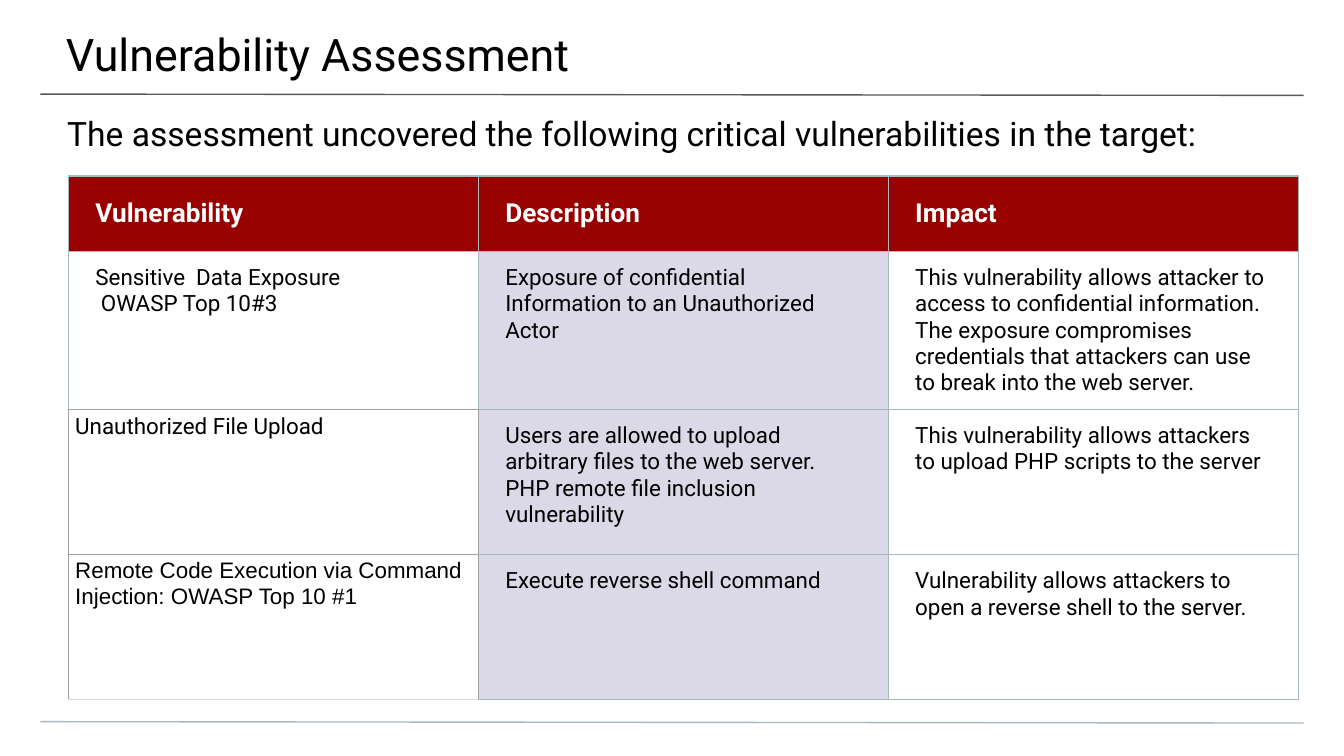
from pptx import Presentation
from pptx.dml.color import RGBColor
from pptx.enum import shapes, text
from pptx.oxml import parse_xml
from pptx.oxml.ns import nsdecls
from pptx.util import Inches, Pt

THEME = {
    "font": "Roboto", "alt_font": "Arial",
    "title": 24, "lead": 18, "head": 14, "body": 12, "line": 0.75,
    "ink": "000000", "paper": "FFFFFF", "header": "990000", "accent": "DBD9E8",
    "rule": "595959", "border": "A9B7C0", "grey": "9E9E9E", "sand": "E0DBD2",
}
SIDES = ("left", "top", "right", "bottom")
W = 10
H = W * 9 / 16


def format_text(box, lines, insets, **font):
    """Fill a text frame or table cell, with its insets and font."""
    for side, inset in zip(SIDES, insets):
        setattr(box, f"margin_{side}", Inches(inset))
    tf = getattr(box, "text_frame", box)
    tf.text = "\n".join(lines)
    color = font.pop("color", THEME["ink"])
    for p in tf.paragraphs:
        p.alignment, p.space_before = text.PP_ALIGN.LEFT, Pt(0)
        for r in p.runs:
            for name, value in {"name": THEME["font"], "bold": False, **font}.items():
                setattr(r.font, name, value)
            r.font.color.rgb = RGBColor.from_string(color)


def set_borders(cell, colors):
    """Colour the left, right, top and bottom edges of a cell."""
    tcPr = cell._tc.get_or_add_tcPr()
    for i, (side, color) in enumerate(zip("LRTB", colors)):
        tcPr.insert(i, parse_xml(
            f'<a:ln{side} {nsdecls("a")} w="{Pt(THEME["line"])}"><a:solidFill>'
            f'<a:srgbClr val="{color}"/></a:solidFill></a:ln{side}>'))


prs = Presentation()
prs.slide_width, prs.slide_height = Inches(W), Inches(H)
s = prs.slides.add_slide(prs.slide_layouts[0])

# Rules across the top and bottom
for y, color in ((0.7, "rule"), (5.37, "border")):
    ends = [Inches(n) for n in (0.03 * W, y, 0.97 * W, y + 0.01)]
    line = s.shapes.add_connector(shapes.MSO_CONNECTOR.STRAIGHT, *ends)
    line.line.width = Pt(THEME["line"])
    line.line.color.rgb = RGBColor.from_string(THEME[color])
    line._element.spPr.append(parse_xml(f'<a:effectLst {nsdecls("a")}/>'))

# Title and lead sentence
for sp, words, box, insets, size in (
    (s.shapes.title, "Vulnerability Assessment",
     (-0.01, 0, 10.03, 0.58), (0.5, 0.2, 0.3, 0.1), "title"),
    (s.placeholders[1],
     "The assessment uncovered the following critical vulnerabilities in the target:",
     (0, 0.74, W, 0.4), (0.5, 0.1, 0.5, 0), "lead"),
):
    for name, value in zip(("left", "top", "width", "height"), box):
        setattr(sp, name, Inches(value))
    tf = sp.text_frame
    format_text(tf, [words], insets, size=Pt(THEME[size]))
    tf.word_wrap, tf.auto_size = True, text.MSO_AUTO_SIZE.NONE
    tf.vertical_anchor = text.MSO_ANCHOR.TOP

# Table of findings
rows = [
    [["Vulnerability"], ["Description"], ["Impact"]],
    [["Sensitive  Data Exposure", " OWASP Top 10#3"],
     ["Exposure of confidential Information to an Unauthorized Actor"],
     ["This vulnerability allows attacker to access to confidential information. "
      "The exposure compromises credentials that attackers can use to break into "
      "the web server."]],
    [["Unauthorized File Upload"],
     ["Users are allowed to upload arbitrary files to the web server. "
      "PHP remote file inclusion vulnerability"],
     ["This vulnerability allows attackers to upload PHP scripts to the server"]],
    [["Remote Code Execution via Command Injection: OWASP Top 10 #1"],
     ["Execute reverse shell command"],
     ["Vulnerability allows attackers to open a reverse shell to the server."]],
]
col_w, head_h, row_h = 3.05, 0.56, 1.08
table = s.shapes.add_table(
    len(rows), 3, Inches(0.51), Inches(1.31),
    Inches(3 * col_w), Inches(head_h + 3 * row_h)).table
table.horz_banding = False
for col in table.columns:
    col.width = Inches(col_w)
for i, row in enumerate(table.rows):
    row.height = Inches(row_h if i else head_h)

# Edges that differ from the common border: left, right, top, bottom
b, g, sand = THEME["border"], THEME["grey"], THEME["sand"]
edges = {
    (1, 0): (b, b, b, g), (2, 0): (g, g, g, g), (3, 0): (g, g, g, sand),
    (2, 1): (g, b, b, b), (3, 1): (g, b, b, b),
}
for i, row in enumerate(rows):
    for j, lines in enumerate(row):
        cell = table.cell(i, j)
        tight = i > 1 and j == 0
        fmt = {"size": Pt(THEME["body"])}
        if i == 0:
            fmt = {"size": Pt(THEME["head"]), "bold": True, "color": THEME["paper"]}
        elif (i, j) == (3, 0):
            fmt["name"] = THEME["alt_font"]
        insets = (0.05, 0.03, 0.05, 0.03) if tight else (0.2, 0.1, 0.2, 0.1)
        format_text(cell, lines, insets, **fmt)
        cell.vertical_anchor = text.MSO_ANCHOR.TOP if i else text.MSO_ANCHOR.MIDDLE
        if i == 0 or j == 1:
            cell.fill.solid()
            fill = THEME["accent" if i else "header"]
            cell.fill.fore_color.rgb = RGBColor.from_string(fill)
        else:
            cell.fill.background()
        set_borders(cell, edges.get((i, j), (b, b, b, b)))

prs.save("out.pptx")
